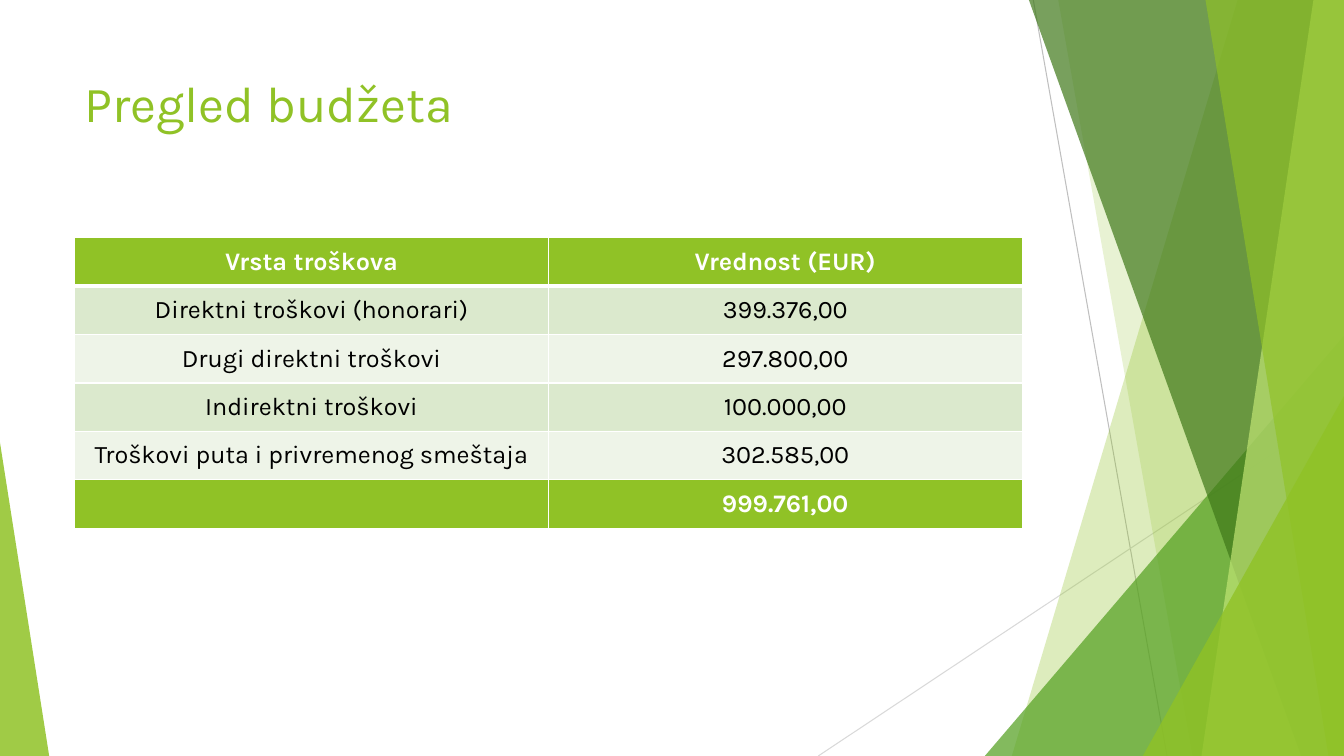
import pptx
import pptx.util
import pptx.dml.color
import pptx.enum.shapes
import pptx.enum.text
import pptx.oxml
import pptx.oxml.ns
from lxml import etree

Cm, Pt = pptx.util.Cm, pptx.util.Pt
qn = pptx.oxml.ns.qn

# Content
TITLE = "Pregled budžeta"
ROWS = [
    ("Vrsta troškova", "Vrednost (EUR)"),
    ("Direktni troškovi (honorari)", "399.376,00"),
    ("Drugi direktni troškovi", "297.800,00"),
    ("Indirektni troškovi", "100.000,00"),
    ("Troškovi puta i privremenog smeštaja", "302.585,00"),
    ("", "999.761,00"),
]

# Style and measures, in cm
FONT = "Karla"
GREEN, WHITE, BLACK = "90C226", "FFFFFF", "000000"
STRIPES = ["DBE9CD", "EEF4E8"]
WIDE, HIGH = 33.87, 19.05
LEFT, BODY = 1.88, 23.88
TOP, ROW = 5.99, 1.22

# Thin lines: start x, start y, end x, end y, colour
LINES = [
    (26.04, 0, 29.41, HIGH, "BFBFBF"),
    (WIDE, 10.24, 20.62, HIGH, "D9D9D9"),
]
# Facets, back to front
# band: top x, bottom x; peak: left, right, top, apex
FACETS = [
    ("band", (31.19, 25.5), GREEN, 30),
    ("band", (26.67, 30.05), GREEN, 20),
    ("peak", (24.82, WIDE, 8.46, 1), "54A021", 72),
    ("band", (25.93, 32.79), "3F7819", 70),
    ("band", (33.1, 30.28), "C0E474", 70),
    ("band", (30.38, 33.48), GREEN, 65),
    ("peak", (28.8, WIDE, 9.98, 1), GREEN, 80),
    ("peak", (0, 1.24, 11.15, 0), GREEN, 85),
]

deck = pptx.Presentation()
deck.slide_width, deck.slide_height = Cm(WIDE), Cm(HIGH)
slide = deck.slides.add_slide(deck.slide_layouts[6])
shapes = slide.shapes


def paint(target, tone):
    """Give a fill or line fill one solid colour."""
    target.solid()
    target.fore_color.rgb = pptx.dml.color.RGBColor.from_string(tone)


def style(para, size, tone, bold=False):
    para.font.name, para.font.size, para.font.bold = FONT, Pt(size), bold
    paint(para.font.fill, tone)


def add_band(top, base):
    """Outline from a slanted left side to the right slide edge."""
    draft = shapes.build_freeform(Cm(top), 0)
    points = [(WIDE, 0), (WIDE, HIGH), (base, HIGH)]
    draft.add_line_segments([(Cm(x), Cm(y)) for x, y in points])
    return draft.convert_to_shape()


def add_peak(left, right, top, apex):
    kind = pptx.enum.shapes.MSO_SHAPE.ISOSCELES_TRIANGLE
    peak = shapes.add_shape(kind, Cm(left), Cm(top),
                            Cm(right - left), Cm(HIGH - top))
    peak.adjustments[0] = apex
    return peak


def set_edges(cell, first, second):
    """White cell borders; the rule below the header is thicker."""
    props = cell._tc.get_or_add_tcPr()
    widths = {"lnL": 1, "lnR": 1, "lnT": 3 if second else 1,
              "lnB": 3 if first else 1}
    for spot, (tag, width) in enumerate(widths.items()):
        edge = etree.Element(qn("a:" + tag), w=str(Pt(width)))
        fill = etree.SubElement(edge, qn("a:solidFill"))
        etree.SubElement(fill, qn("a:srgbClr"), val=WHITE)
        props.insert(spot, edge)


# Background lines
for x1, y1, x2, y2, tone in LINES:
    line = shapes.add_connector(pptx.enum.shapes.MSO_CONNECTOR.STRAIGHT,
                                Cm(x1), Cm(y1), Cm(x2), Cm(y2))
    paint(line.line.fill, tone)
    line.line.width = Pt(0.75)
    etree.SubElement(line._element.spPr, qn("a:effectLst"))

# Background facets
makers = {"band": add_band, "peak": add_peak}
for kind, place, tone, alpha in FACETS:
    facet = makers[kind](*place)
    paint(facet.fill, tone)
    facet.line.fill.background()
    facet.shadow.inherit = False
    clr = facet._element.spPr.find(qn("a:solidFill"))[0]
    etree.SubElement(clr, qn("a:alpha"), val=str(alpha * 1000))

# Title
box = shapes.add_textbox(Cm(LEFT), Cm(1.7), Cm(BODY), Cm(3.66))
box.text_frame.word_wrap = True
box.text_frame.text = TITLE
style(box.text_frame.paragraphs[0], 36, GREEN)

# Budget table
table = shapes.add_table(len(ROWS), 2, Cm(LEFT), Cm(TOP),
                         Cm(BODY), Cm(ROW * len(ROWS))).table
for r, row in enumerate(ROWS):
    strong = r in (0, len(ROWS) - 1)
    for c, text in enumerate(row):
        cell = table.cell(r, c)
        cell.text = text
        cell.vertical_anchor = pptx.enum.text.MSO_ANCHOR.MIDDLE
        para = cell.text_frame.paragraphs[0]
        para.alignment = pptx.enum.text.PP_ALIGN.CENTER
        style(para, 18, WHITE if strong else BLACK, strong)
        paint(cell.fill, GREEN if strong else STRIPES[(r - 1) % 2])
        set_edges(cell, r == 0, r == 1)

deck.save("out.pptx")
